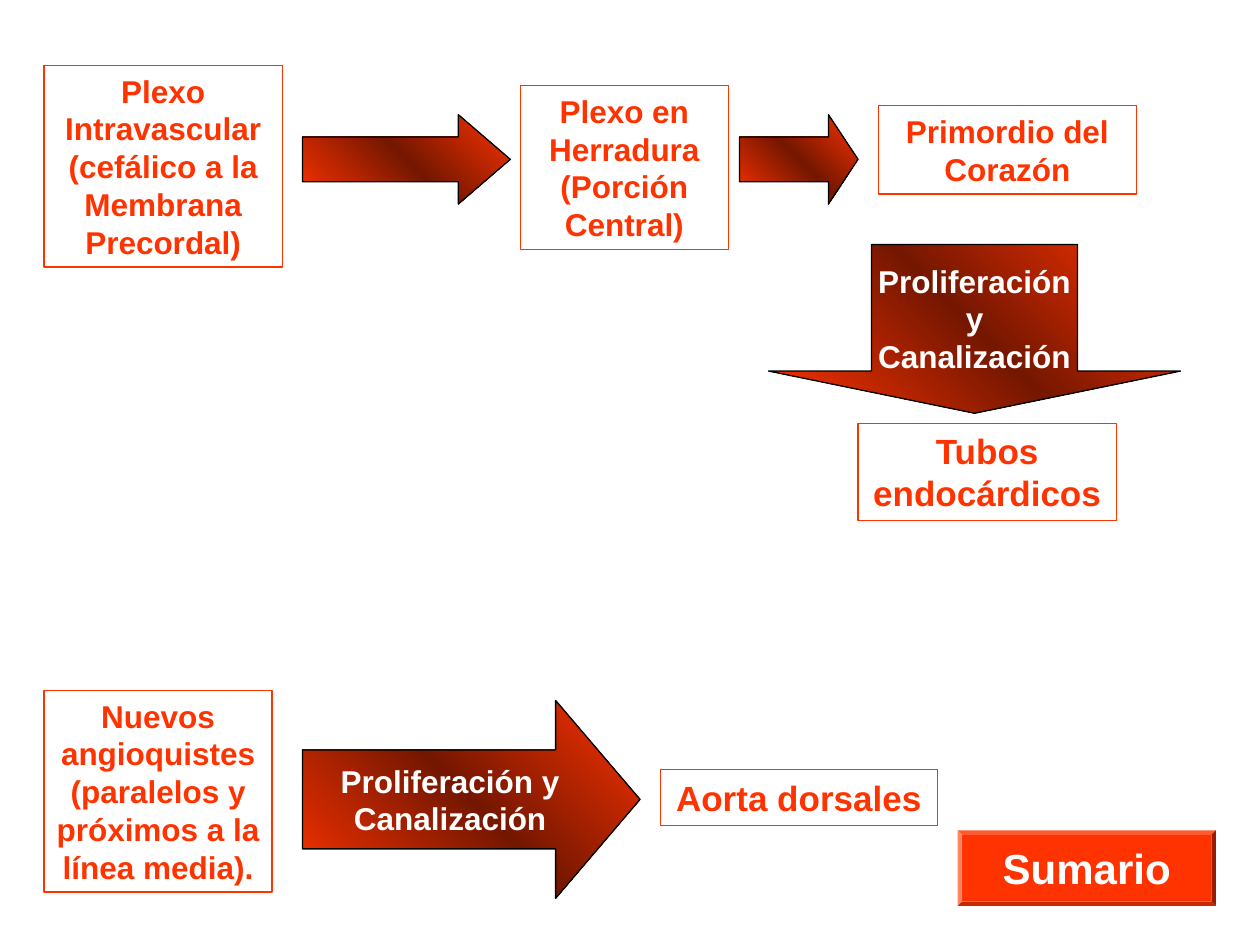
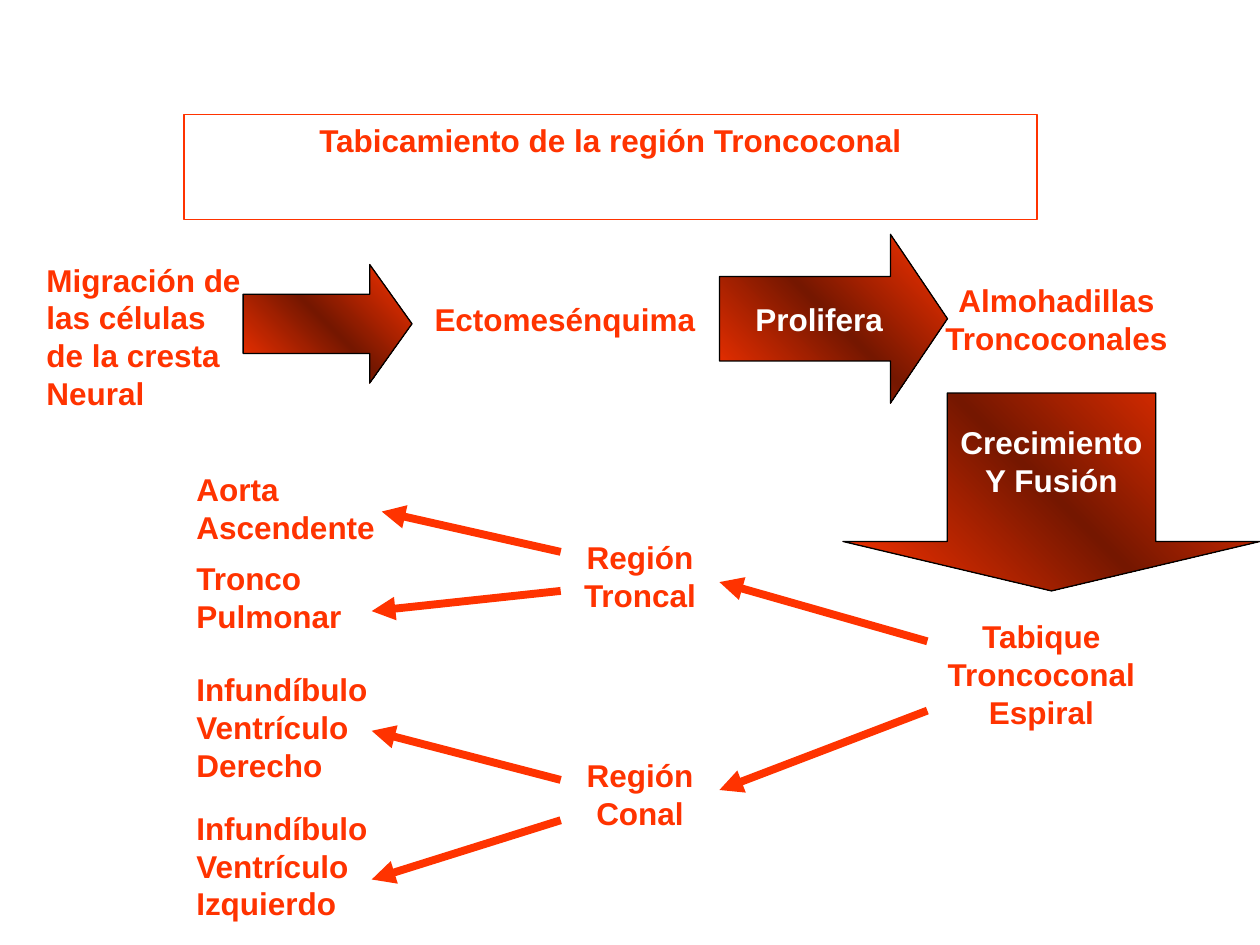
from copy import deepcopy
from typing import NamedTuple

from lxml import etree
from pptx import Presentation
from pptx import util as u
from pptx.dml.color import RGBColor
from pptx.enum import shapes, text
from pptx.oxml import ns

RED = RGBColor(0xFF, 0x33, 0x00)
DARK_RED = RGBColor(0x75, 0x17, 0x00)
BLACK = RGBColor(0, 0, 0)
WHITE = RGBColor(0xFF, 0xFF, 0xFF)
FONT = "Arial"
THIN = u.Pt(0.75)
THICK = u.Pt(4.5)
TITLE_ONLY, BLANK = 5, 6
LEFT, CENTER = text.PP_ALIGN.LEFT, text.PP_ALIGN.CENTER
RIGHT_ARROW = shapes.MSO_SHAPE.RIGHT_ARROW
DOWN_ARROW = shapes.MSO_SHAPE.DOWN_ARROW
HEAD_SHARE = 0.25


class Area(NamedTuple):
    left: float
    top: float
    width: float
    height: float

    def lengths(self) -> list:
        return [u.Inches(value) for value in self]


class Label(NamedTuple):
    words: str
    area: Area
    size: int = 18
    align: text.PP_ALIGN = CENTER
    framed: bool = False


class BlockArrow(NamedTuple):
    kind: shapes.MSO_SHAPE
    area: Area
    words: str = ""
    bottom_inset: float = 0.05


class Branch(NamedTuple):
    start: tuple[float, float]
    end: tuple[float, float]


PLEXUS_LABELS = [
    Label("Plexo en Herradura (Porción Central)", Area(4.13, 0.68, 1.65, 1.3), framed=True),
    Label("Tubos endocárdicos", Area(6.81, 3.36, 2.05, 0.77), 20, framed=True),
    Label("Aorta dorsales", Area(5.24, 6.11, 2.2, 0.44), 20, framed=True),
    Label("Nuevos angioquistes (paralelos y próximos a la línea media).",
          Area(0.35, 5.48, 1.81, 1.6), framed=True),
    Label("Plexo Intravascular (cefálico a la Membrana Precordal)",
          Area(0.35, 0.52, 1.89, 1.6), framed=True),
    Label("Primordio del Corazón", Area(6.97, 0.84, 2.05, 0.7), framed=True),
]
PLEXUS_ARROWS = [
    BlockArrow(RIGHT_ARROW, Area(2.4, 0.91, 1.65, 0.71)),
    BlockArrow(RIGHT_ARROW, Area(5.87, 0.91, 0.94, 0.71)),
    BlockArrow(DOWN_ARROW, Area(6.1, 1.94, 3.27, 1.34), "Proliferación\ny\nCanalización"),
    BlockArrow(RIGHT_ARROW, Area(2.4, 5.56, 2.68, 1.57), "Proliferación y\nCanalización"),
]
SUMMARY_BUTTON = Label("Sumario", Area(7.6, 6.59, 2.05, 0.6), 24)

SEPTATION_TITLE = Label("Tabicamiento de la región Troncoconal",
                        Area(1.46, 0.91, 6.77, 0.4), framed=True)
SEPTATION_LABELS = [
    Label("Migración de las células de la cresta Neural",
          Area(0.27, 2.02, 1.81, 1.3), align=LEFT),
    Label("Ectomesénquima", Area(3.35, 2.33, 2.29, 0.4), align=LEFT),
    Label("Almohadillas Troncoconales", Area(7.36, 2.18, 2.05, 0.7)),
    Label("Tabique Troncoconal Espiral", Area(7.36, 4.85, 1.81, 1)),
    Label("Región Troncal", Area(4.45, 4.22, 1.26, 0.7)),
    Label("Región Conal", Area(4.45, 5.95, 1.26, 0.7)),
    Label("Aorta Ascendente", Area(1.46, 3.68, 2.05, 0.7), align=LEFT),
    Label("Tronco Pulmonar", Area(1.46, 4.39, 2.12, 0.7), align=LEFT),
    Label("Infundíbulo Ventrículo Derecho", Area(1.46, 5.27, 2.36, 1), align=LEFT),
    Label("Infundíbulo Ventrículo Izquierdo", Area(1.46, 6.37, 2.36, 1), align=LEFT),
]
SEPTATION_ARROWS = [
    BlockArrow(RIGHT_ARROW, Area(5.71, 1.86, 1.81, 1.34), "Prolifera"),
    BlockArrow(RIGHT_ARROW, Area(1.93, 2.1, 1.34, 0.94)),
    BlockArrow(DOWN_ARROW, Area(6.69, 3.12, 3.31, 1.57), "Crecimiento\nY Fusión", 0.35),
]
SEPTATION_BRANCHES = [
    Branch((7.36, 5.64), (5.71, 6.27)),
    Branch((7.36, 5.09), (5.71, 4.62)),
    Branch((4.45, 6.51), (2.95, 6.98)),
    Branch((4.45, 6.19), (2.95, 5.8)),
    Branch((4.45, 4.69), (2.95, 4.85)),
    Branch((4.45, 4.38), (3.03, 4.06)),
]


def write(shape, words: str, size: int, color: RGBColor, align: text.PP_ALIGN) -> None:
    frame = shape.text_frame
    frame.text = words
    for paragraph in frame.paragraphs:
        paragraph.alignment = align
        for run in paragraph.runs:
            run.font.name = FONT
            run.font.size = u.Pt(size)
            run.font.bold = True
            run.font.color.rgb = color


def style_label(shape, label: Label) -> None:
    write(shape, label.words, label.size, RED, label.align)
    frame = shape.text_frame
    frame.word_wrap = True
    frame.vertical_anchor = text.MSO_ANCHOR.TOP
    frame.auto_size = text.MSO_AUTO_SIZE.SHAPE_TO_FIT_TEXT
    if label.framed:
        shape.line.color.rgb = RED
        shape.line.width = THIN


def add_labels(slide, labels: list[Label]) -> None:
    for label in labels:
        style_label(slide.shapes.add_textbox(*label.area.lengths()), label)


def add_title(slide, label: Label) -> None:
    title = slide.shapes.title
    title.left, title.top, title.width, title.height = label.area.lengths()
    style_label(title, label)


def shade(shape) -> None:
    fill = shape.fill
    fill.gradient()
    fill.gradient_angle = 225
    first = shape._element.spPr.find(".//" + ns.qn("a:gs"))
    first.addnext(deepcopy(first))
    for stop, position, color in zip(fill.gradient_stops, (0, 0.5, 1), (RED, DARK_RED, RED)):
        stop.position = position
        stop.color.rgb = color


def center_text(shape, words: str, size: int) -> None:
    write(shape, words, size, WHITE, CENTER)
    shape.text_frame.word_wrap = False
    shape.text_frame.vertical_anchor = text.MSO_ANCHOR.MIDDLE


def add_block_arrows(slide, arrows: list[BlockArrow]) -> None:
    for arrow in arrows:
        area = arrow.area
        shape = slide.shapes.add_shape(arrow.kind, *area.lengths())
        length = area.width if arrow.kind == RIGHT_ARROW else area.height
        shape.adjustments[1] = HEAD_SHARE * length / min(area.width, area.height)
        shape.shadow.inherit = False
        shade(shape)
        shape.line.color.rgb = BLACK
        shape.line.width = THIN
        if arrow.words:
            center_text(shape, arrow.words, 18)
            shape.text_frame.margin_bottom = u.Inches(arrow.bottom_inset)


def add_button(slide, label: Label) -> None:
    button = slide.shapes.add_shape(shapes.MSO_SHAPE.BEVEL, *label.area.lengths())
    button.adjustments[0] = 0.06
    button.shadow.inherit = False
    button.fill.solid()
    button.fill.fore_color.rgb = RED
    button.line.fill.background()
    center_text(button, label.words, label.size)


def add_branches(slide, branches: list[Branch]) -> None:
    for branch in branches:
        ends = [u.Inches(value) for value in (*branch.start, *branch.end)]
        connector = slide.shapes.add_connector(shapes.MSO_CONNECTOR.STRAIGHT, *ends)
        connector.line.color.rgb = RED
        connector.line.width = THICK
        etree.SubElement(connector.line._get_or_add_ln(), ns.qn("a:tailEnd"), type="triangle")
        etree.SubElement(connector._element.spPr, ns.qn("a:effectLst"))


def build_plexus_slide(presentation) -> None:
    slide = presentation.slides.add_slide(presentation.slide_layouts[BLANK])
    add_labels(slide, PLEXUS_LABELS)
    add_block_arrows(slide, PLEXUS_ARROWS)
    add_button(slide, SUMMARY_BUTTON)


def build_septation_slide(presentation) -> None:
    slide = presentation.slides.add_slide(presentation.slide_layouts[TITLE_ONLY])
    add_title(slide, SEPTATION_TITLE)
    add_labels(slide, SEPTATION_LABELS)
    add_block_arrows(slide, SEPTATION_ARROWS)
    add_branches(slide, SEPTATION_BRANCHES)


def main() -> None:
    presentation = Presentation()
    presentation.slide_width = u.Inches(10)
    presentation.slide_height = u.Inches(7.5)
    build_plexus_slide(presentation)
    build_septation_slide(presentation)
    presentation.save("out.pptx")


if __name__ == "__main__":
    main()
